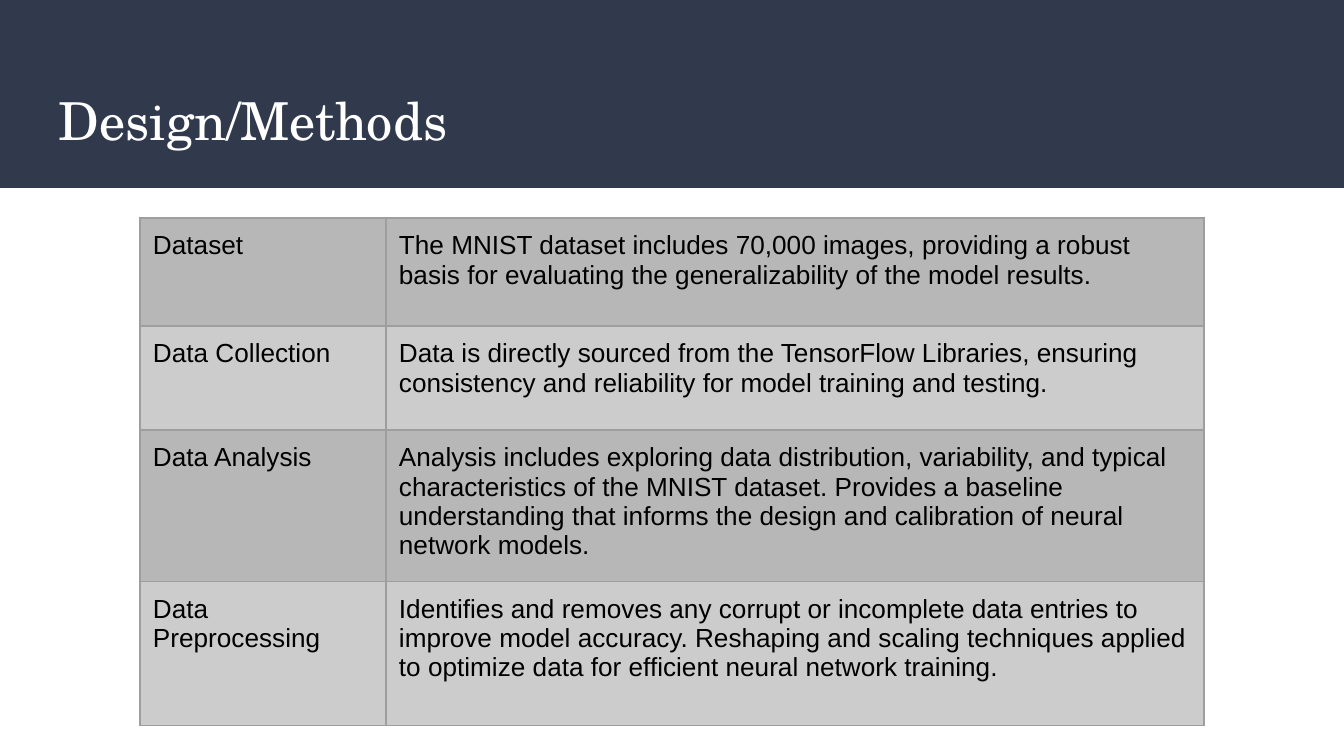
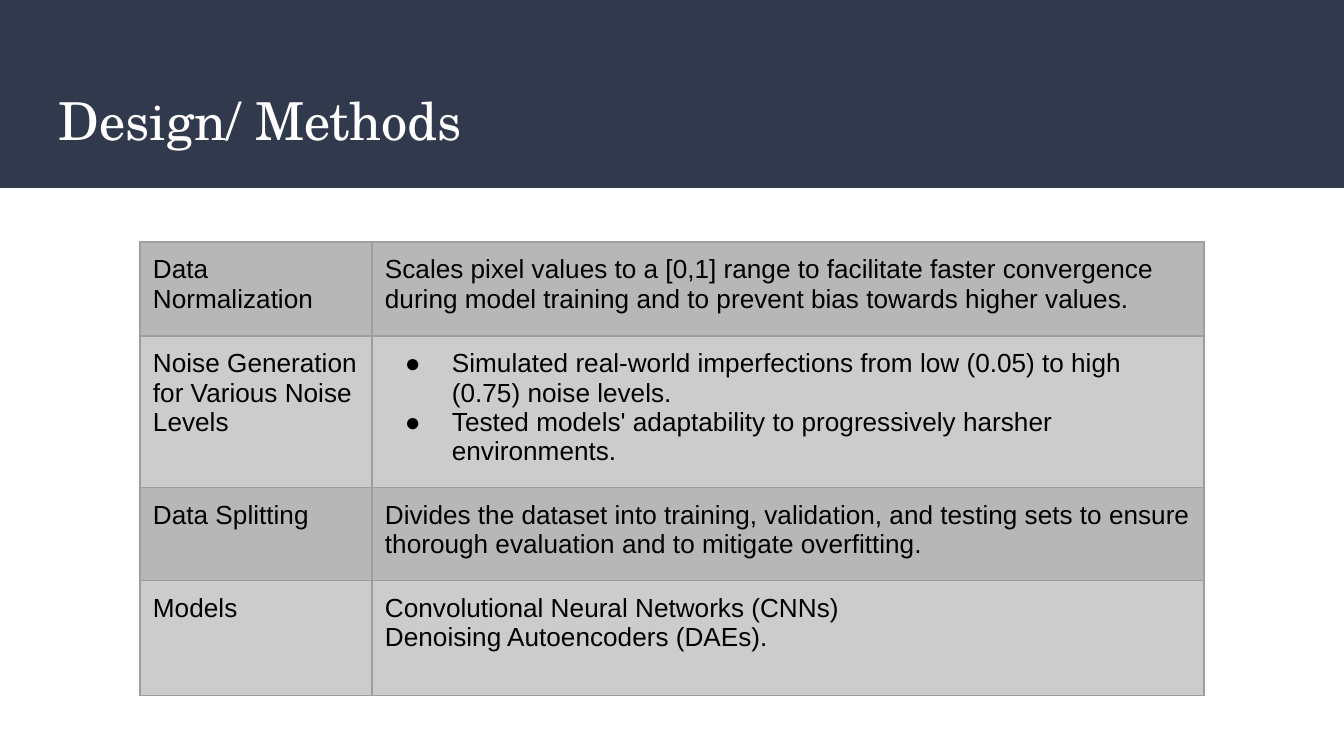
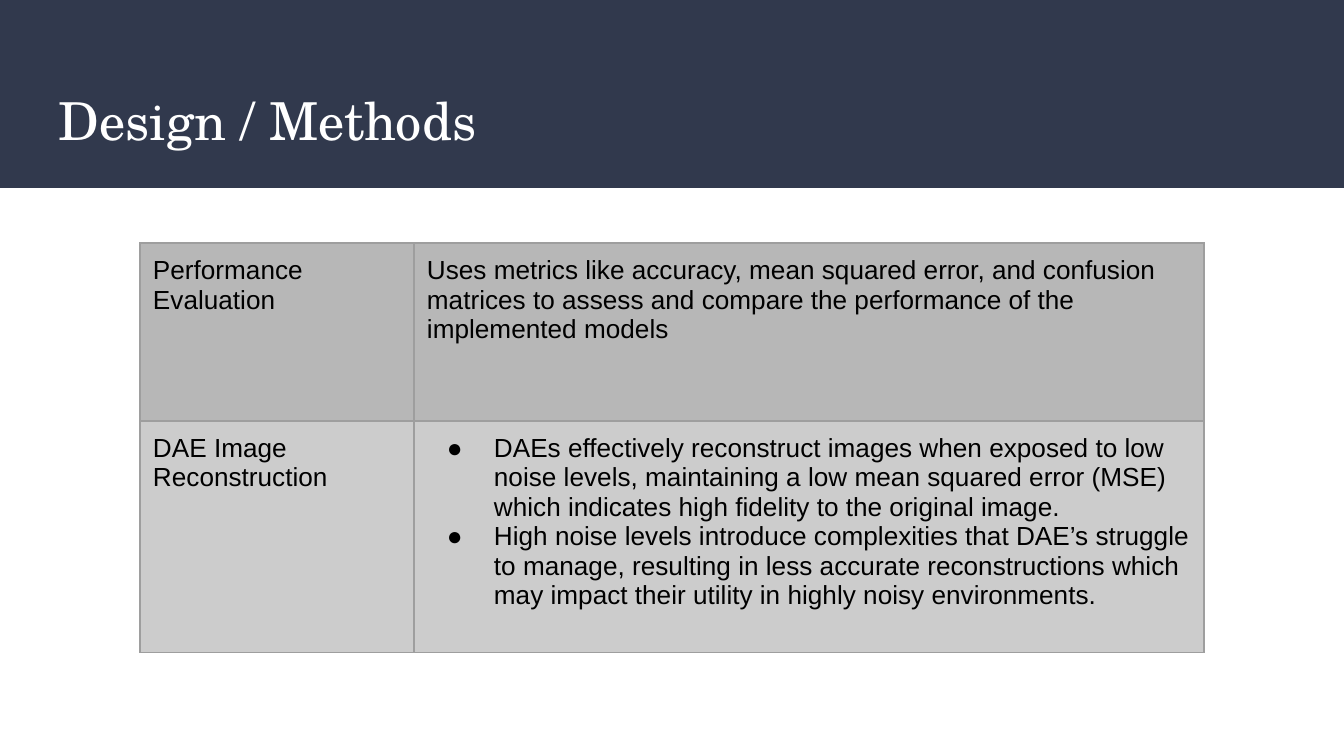
from dataclasses import dataclass

from lxml import etree
from pptx import Presentation
from pptx import util as u
from pptx.dml.color import RGBColor
from pptx.enum import shapes, text
from pptx.oxml.ns import qn

EMU_PER_PX = 914400 / 134.4
SLIDE_WIDTH, SLIDE_HEIGHT = 1344, 756


def px(length):
    return u.Emu(round(length * EMU_PER_PX))


@dataclass(frozen=True)
class Theme:
    band: str = "31394D"
    title: str = "FFFFFF"
    body: str = "000000"
    row_fills: tuple = ("B7B7B7", "CCCCCC")
    border: str = "9E9E9E"
    border_width: float = 0.75
    title_font: str = "TeX Gyre Schola"
    body_font: str = "Arial"
    title_size: int = 28
    body_size: int = 14
    inset: int = 13
    bullet_margin: int = 67
    bullet_hang: int = 47


@dataclass
class Row:
    height: int
    topic: str
    details: tuple
    bulleted: bool = False


class Deck:
    def __init__(self, theme):
        self.theme = theme
        self.presentation = Presentation()
        self.presentation.slide_width = px(SLIDE_WIDTH)
        self.presentation.slide_height = px(SLIDE_HEIGHT)
        self.slide = None

    def start_slide(self, heading):
        self.slide = self.presentation.slides.add_slide(self.presentation.slide_layouts[6])
        self.band(0, 0, SLIDE_WIDTH, 188)
        self.title(46, 74, 1253, 91, heading)

    def band(self, left, top, width, height):
        band = self.slide.shapes.add_shape(
            shapes.MSO_SHAPE.RECTANGLE, px(left), px(top), px(width), px(height))
        band.shadow.inherit = False
        band.fill.solid()
        band.fill.fore_color.rgb = RGBColor.from_string(self.theme.band)
        band.line.fill.background()

    def title(self, left, top, width, height, heading):
        box = self.slide.shapes.add_textbox(px(left), px(top), px(width), px(height))
        frame = box.text_frame
        frame.word_wrap = True
        frame.vertical_anchor = text.MSO_ANCHOR.MIDDLE
        self.set_insets(frame)
        frame.text = heading
        self.set_font(frame.paragraphs[0], self.theme.title_font,
                      self.theme.title_size, self.theme.title)

    def table(self, left, top, column_widths, rows):
        grid = self.slide.shapes.add_table(
            len(rows), len(column_widths), px(left), px(top),
            px(sum(column_widths)), px(sum(row.height for row in rows))).table
        grid.first_row = False
        grid.horz_banding = False
        for column, width in zip(grid.columns, column_widths):
            column.width = px(width)
        for index, row in enumerate(rows):
            grid.rows[index].height = px(row.height)
            fill = self.theme.row_fills[index % 2]
            self.cell(grid.cell(index, 0), (row.topic,), fill)
            self.cell(grid.cell(index, 1), row.details, fill, row.bulleted)

    def cell(self, cell, lines, fill, bulleted=False):
        self.set_insets(cell)
        self.set_borders(cell)
        cell.fill.solid()
        cell.fill.fore_color.rgb = RGBColor.from_string(fill)
        cell.text = "\n".join(lines)
        for paragraph in cell.text_frame.paragraphs:
            if bulleted:
                self.set_bullet(paragraph)
            self.set_font(paragraph, self.theme.body_font,
                          self.theme.body_size, self.theme.body)

    def set_insets(self, holder):
        for side in ("left", "top", "right", "bottom"):
            setattr(holder, f"margin_{side}", px(self.theme.inset))

    def set_font(self, paragraph, name, size, color):
        paragraph.font.name = name
        paragraph.font.size = u.Pt(size)
        paragraph.font.color.rgb = RGBColor.from_string(color)

    def set_borders(self, cell):
        properties = cell._tc.get_or_add_tcPr()
        for side in ("a:lnL", "a:lnR", "a:lnT", "a:lnB"):
            line = etree.SubElement(properties, qn(side), w=str(u.Pt(self.theme.border_width)))
            solid = etree.SubElement(line, qn("a:solidFill"))
            etree.SubElement(solid, qn("a:srgbClr"), val=self.theme.border)

    def set_bullet(self, paragraph):
        properties = paragraph._p.get_or_add_pPr()
        properties.set("marL", str(px(self.theme.bullet_margin)))
        properties.set("indent", str(px(-self.theme.bullet_hang)))
        color = etree.SubElement(properties, qn("a:buClr"))
        etree.SubElement(color, qn("a:srgbClr"), val=self.theme.body)
        etree.SubElement(properties, qn("a:buFont"), typeface=self.theme.body_font)
        etree.SubElement(properties, qn("a:buChar"), char="●")


METHODS = [
    ("Design/Methods", 218, (246, 818), [
        Row(108, "Dataset", (
            "The MNIST dataset includes 70,000 images, providing a robust basis for "
            "evaluating the generalizability of the model results.",)),
        Row(104, "Data Collection", (
            "Data is directly sourced from the TensorFlow Libraries, ensuring "
            "consistency and reliability for model training and testing.",)),
        Row(148, "Data Analysis", (
            "Analysis includes exploring data distribution, variability, and typical "
            "characteristics of the MNIST dataset. Provides a baseline understanding "
            "that informs the design and calibration of neural network models.",)),
        Row(144, "Data Preprocessing", (
            "Identifies and removes any corrupt or incomplete data entries to improve "
            "model accuracy. Reshaping and scaling techniques applied to optimize data "
            "for efficient neural network training.",)),
    ]),
    ("Design/ Methods", 242, (232, 832), [
        Row(94, "Data Normalization", (
            "Scales pixel values to a [0,1] range to facilitate faster convergence "
            "during model training and to prevent bias towards higher values.",)),
        Row(144, "Noise Generation for Various Noise Levels", (
            "Simulated real-world imperfections from low (0.05) to high (0.75) noise levels.",
            "Tested models' adaptability to progressively harsher environments."),
            bulleted=True),
        Row(93, "Data Splitting", (
            "Divides the dataset into training, validation, and testing sets to ensure "
            "thorough evaluation and to mitigate overfitting.",)),
        Row(115, "Models", (
            "Convolutional Neural Networks (CNNs)",
            "Denoising Autoencoders (DAEs).")),
    ]),
    ("Design / Methods", 243, (274, 790), [
        Row(178, "Performance Evaluation", (
            "Uses metrics like accuracy, mean squared error, and confusion matrices to "
            "assess and compare the performance of the implemented models",)),
        Row(232, "DAE Image Reconstruction", (
            "DAEs effectively reconstruct images when exposed to low noise levels, "
            "maintaining a low mean squared error (MSE) which indicates high fidelity "
            "to the original image.",
            "High noise levels introduce complexities that DAE’s struggle to manage, "
            "resulting in less accurate reconstructions which may impact their utility "
            "in highly noisy environments."),
            bulleted=True),
    ]),
]


def main():
    deck = Deck(Theme())
    for heading, table_top, column_widths, rows in METHODS:
        deck.start_slide(heading)
        deck.table(140, table_top, column_widths, rows)
    deck.presentation.save("out.pptx")


if __name__ == "__main__":
    main()
